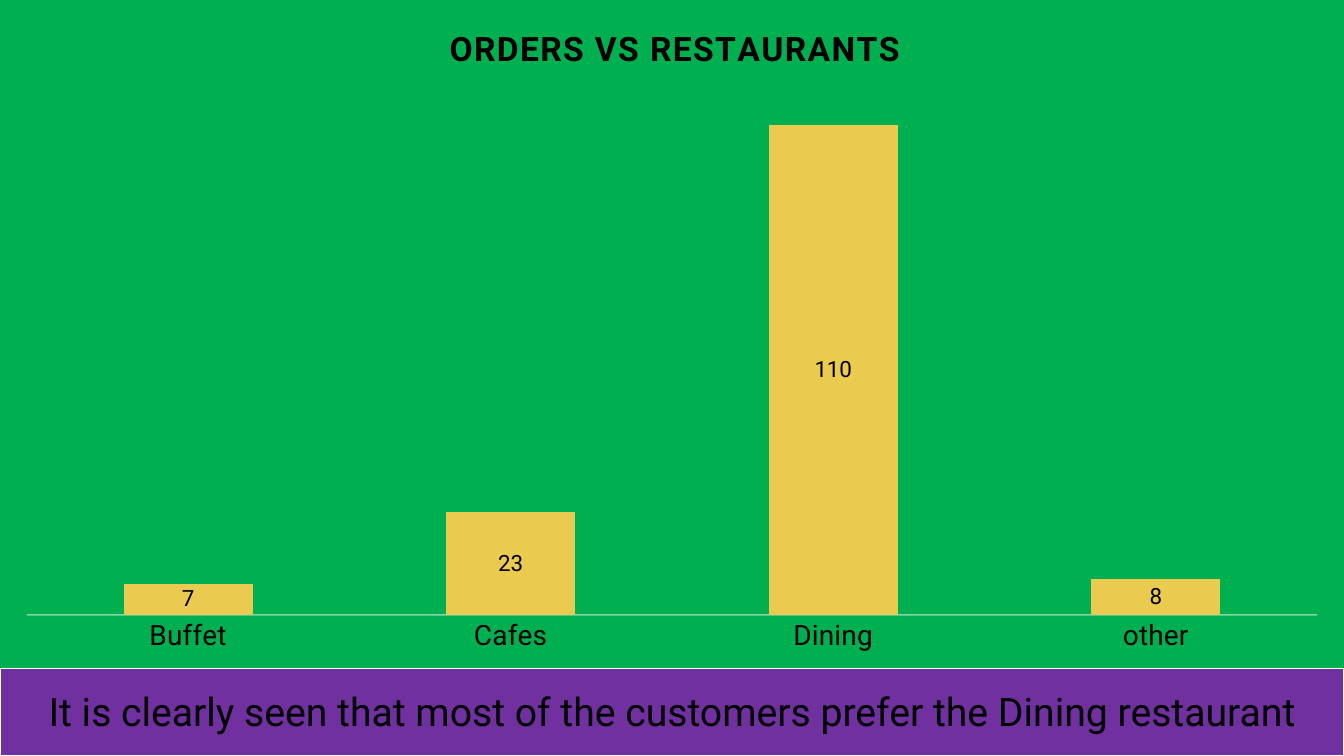
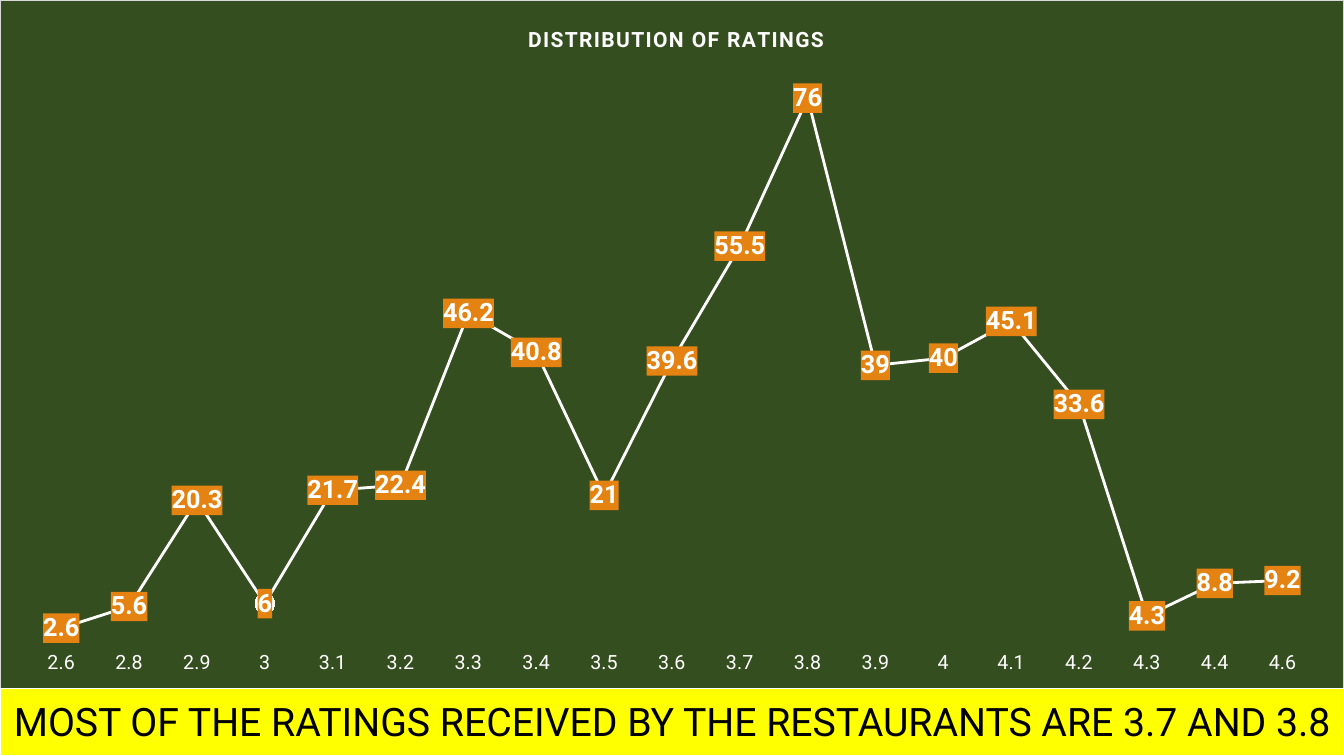
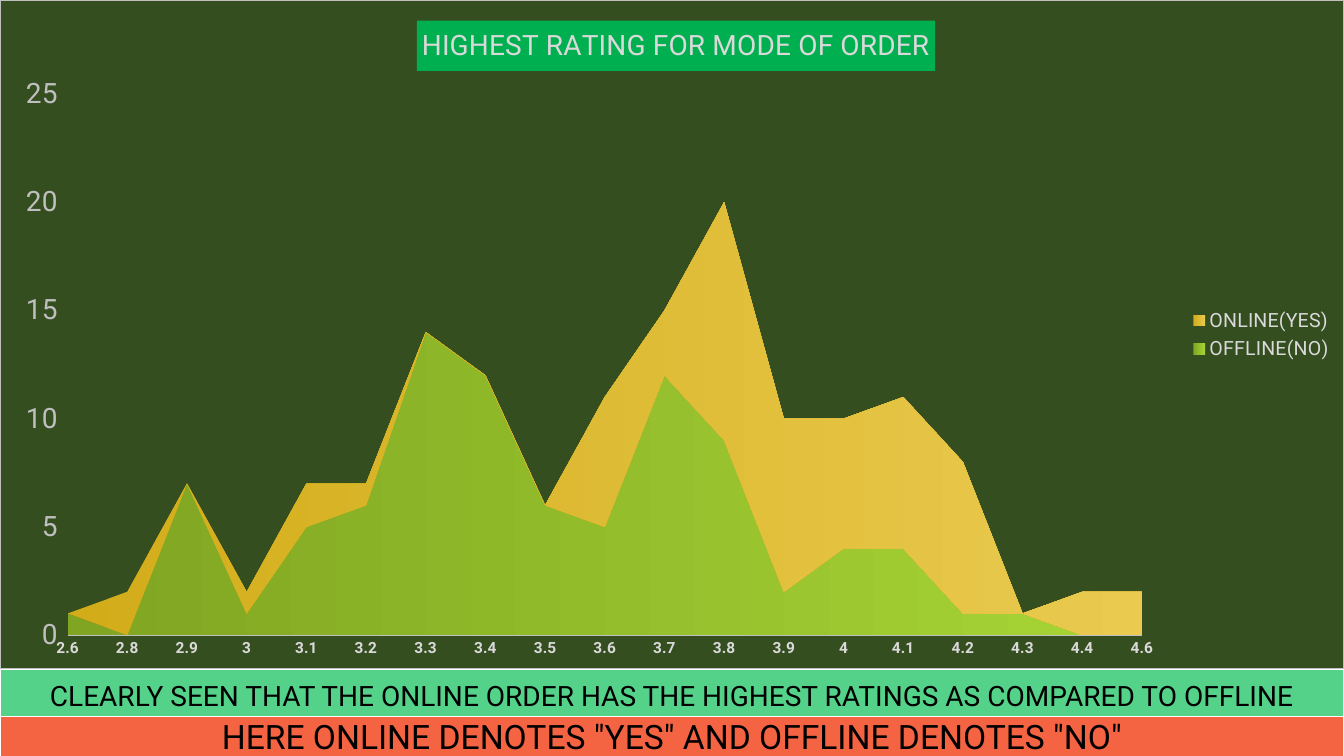
from dataclasses import dataclass

from lxml import etree
from pptx import Presentation
from pptx import util as u
from pptx.chart import data as chart_data
from pptx.dml import color
from pptx.enum import chart as charts, text
from pptx.oxml import ns, parse_xml


@dataclass(frozen=True)
class Theme:
    font: str = "Roboto"
    black: str = "000000"
    white: str = "FFFFFF"
    light: str = "D9D9D9"
    grey: str = "BFBFBF"
    axis: str = "F2F2F2"
    green: str = "00B050"
    forest: str = "354E20"
    gold: str = "EACA4F"
    dark_gold: str = "D2AC19"
    lime: str = "A7D535"
    dark_lime: str = "80A522"
    orange: str = "E48312"
    purple: str = "7030A0"
    yellow: str = "FFFF00"
    mint: str = "54D289"
    coral: str = "F46442"
    base: float = 10
    small: float = 11
    label: float = 14
    subtitle: float = 15
    value: float = 16
    strong: float = 18
    body: float = 20
    heading: float = 24
    banner: float = 28


THEME = Theme()
WIDTH, HEIGHT = 960, 540
RATINGS = ["2.6", "2.8", "2.9", "3", "3.1", "3.2", "3.3", "3.4", "3.5", "3.6",
           "3.7", "3.8", "3.9", "4", "4.1", "4.2", "4.3", "4.4", "4.6"]


def rgb(value):
    return color.RGBColor.from_string(value)


def set_font(font, size, fill, bold=False):
    font.name = THEME.font
    font.size = u.Pt(size)
    font.bold = bold
    font.color.rgb = rgb(fill)


def write_text(frame, content, *, size, fill, bold=False, spacing=0):
    """Write one centred paragraph; spacing is in points."""
    paragraph = frame.paragraphs[0]
    paragraph.alignment = text.PP_ALIGN.CENTER
    run = paragraph.add_run()
    run.text = content
    set_font(run.font, size, fill, bold)
    if spacing:
        run._r.get_or_add_rPr().set("spc", str(int(spacing * 100)))


# XML parts without a public method

def solid_fill(value):
    return f'<a:solidFill><a:srgbClr val="{value}"/></a:solidFill>'


def shape_properties(fill, border=None):
    line = solid_fill(border) if border else "<a:noFill/>"
    return parse_xml(f'<c:spPr {ns.nsdecls("c", "a")}>{solid_fill(fill)}'
                     f'<a:ln w="{u.Pt(0.75)}">{line}</a:ln></c:spPr>')


def find(chart, tag):
    return chart.element.find(".//" + ns.qn(tag))


def place(parent, index, x, y, w=None, h=None):
    """Give a chart part a fixed place, as fractions of the chart."""
    for old in parent.findall(ns.qn("c:layout")):
        parent.remove(old)
    settings = [("xMode", "edge"), ("yMode", "edge"), ("x", x), ("y", y)]
    if w is not None:
        settings = [("layoutTarget", "inner"), *settings, ("w", w), ("h", h)]
    layout = etree.Element(ns.qn("c:layout"))
    manual = etree.SubElement(layout, ns.qn("c:manualLayout"))
    for name, value in settings:
        etree.SubElement(manual, ns.qn(f"c:{name}")).set("val", str(value))
    parent.insert(index, layout)


def set_borders(cell):
    properties = cell._tc.get_or_add_tcPr()
    for index, side in enumerate("LRTB"):
        properties.insert(index, parse_xml(
            f'<a:ln{side} {ns.nsdecls("a")} w="{u.Pt(1)}">'
            f'{solid_fill(THEME.white)}</a:ln{side}>'))


# Elements

def add_band(slide, content, *, top, height, fill, size):
    table = slide.shapes.add_table(
        1, 1, 0, u.Pt(top), u.Pt(WIDTH), u.Pt(height)).table
    table.first_row = table.horz_banding = False
    cell = table.cell(0, 0)
    cell.fill.solid()
    cell.fill.fore_color.rgb = rgb(fill)
    cell.vertical_anchor = text.MSO_ANCHOR.MIDDLE
    cell.margin_left = cell.margin_right = cell.margin_top = u.Pt(1)
    cell.margin_bottom = 0
    set_borders(cell)
    write_text(cell.text_frame, content, size=size, fill=THEME.black)


def add_chart(slide, kind, categories, series, *, height, fill, plot, top_value,
              border=None):
    """Add a full-width chart with a fixed plot area and value scale."""
    source = chart_data.CategoryChartData()
    source.categories = categories
    for name, values in series:
        source.add_series(name, values)
    chart = slide.shapes.add_chart(
        kind, 0, 0, u.Pt(WIDTH), u.Pt(height), source).chart
    set_font(chart.font, THEME.base, THEME.white)
    chart.element.find(ns.qn("c:txPr")).addprevious(shape_properties(fill, border))
    chart.has_legend = False
    chart.plots[0].vary_by_categories = False
    place(find(chart, "c:plotArea"), 0, *plot)
    axis = chart.value_axis
    axis.has_major_gridlines = False
    axis.minimum_scale, axis.maximum_scale = 0, top_value
    return chart


def add_title(chart, content, *, x, y, box=None, **text_format):
    chart.has_title = True
    title = chart.chart_title
    write_text(title.text_frame, content, **text_format)
    if box:
        title.format.fill.solid()
        title.format.fill.fore_color.rgb = rgb(box)
    place(find(chart, "c:title"), 1, x, y)


def style_categories(chart, *, size, fill, bold=False, line=None, width=1):
    axis = chart.category_axis
    axis.has_major_gridlines = False
    axis.major_tick_mark = charts.XL_TICK_MARK.NONE
    set_font(axis.tick_labels.font, size, fill, bold)
    if line:
        axis.format.line.color.rgb = rgb(line)
        axis.format.line.width = u.Pt(width)
    else:
        axis.format.line.fill.background()


def add_labels(chart, *, size, fill, bold=False, box=None):
    labels = chart.plots[0].series[0].data_labels
    labels.show_value = True
    labels.position = charts.XL_LABEL_POSITION.CENTER
    set_font(labels.font, size, fill, bold)
    if box:
        text_properties = find(chart, "c:dLbls").find(ns.qn("c:txPr"))
        text_properties.addprevious(shape_properties(box))


def fill_gradient(fill, *stops):
    fill.gradient()
    fill.gradient_angle = 0
    for stop, value in zip(fill.gradient_stops, stops):
        stop.color.rgb = rgb(value)


# Slides

def add_orders(slide):
    chart = add_chart(
        slide, charts.XL_CHART_TYPE.COLUMN_STACKED,
        ["Buffet", "Cafes", "Dining", "other"], [("Series 1", [7, 23, 110, 8])],
        height=477.5, fill=THEME.green, plot=(0.02, 0.12, 0.96, 0.8), top_value=120)
    add_title(chart, "ORDERS VS RESTAURANTS", x=0.33, y=0.03,
              size=THEME.heading, fill=THEME.black, bold=True, spacing=1)
    chart.value_axis.visible = False
    style_categories(chart, size=THEME.body, fill=THEME.black, line=THEME.axis)
    axis_color = find(chart, "c:catAx").find(".//a:ln//a:srgbClr", ns._nsmap)
    etree.SubElement(axis_color, ns.qn("a:alpha")).set("val", "54000")
    plot = chart.plots[0]
    plot.gap_width, plot.overlap = 150, 100
    bars = plot.series[0].format.fill
    bars.solid()
    bars.fore_color.rgb = rgb(THEME.gold)
    add_labels(chart, size=THEME.value, fill=THEME.black)
    add_band(slide,
             "It is clearly seen that most of the customers prefer the Dining restaurant",
             top=477.5, height=62.5, fill=THEME.purple, size=THEME.banner)


def add_ratings(slide):
    values = [2.6, 5.6, 20.3, 6, 21.7, 22.4, 46.2, 40.8, 21, 39.6,
              55.5, 76, 39, 40, 45.1, 33.6, 4.3, 8.8, 9.2]
    chart = add_chart(
        slide, charts.XL_CHART_TYPE.LINE_MARKERS, RATINGS, [("Series 1", values)],
        height=492, fill=THEME.forest, border=THEME.light,
        plot=(0.02, 0.1, 0.96, 0.84), top_value=80)
    add_title(chart, "DISTRIBUTION OF RATINGS", x=0.39, y=0.03,
              size=THEME.subtitle, fill=THEME.white, bold=True, spacing=1)
    chart.value_axis.visible = False
    style_categories(chart, size=THEME.label, fill=THEME.white)
    series = chart.plots[0].series[0]
    series.smooth = False
    series.format.line.color.rgb = rgb(THEME.white)
    series.format.line.width = u.Pt(2)
    series.marker.style = charts.XL_MARKER_STYLE.CIRCLE
    series.marker.size = 14
    series.marker.format.fill.solid()
    series.marker.format.fill.fore_color.rgb = rgb(THEME.white)
    series.marker.format.line.fill.background()
    add_labels(chart, size=THEME.strong, fill=THEME.white, bold=True,
               box=THEME.orange)
    add_band(slide, "MOST OF THE RATINGS RECEIVED BY THE RESTAURANTS ARE 3.7 AND 3.8",
             top=492, height=48, fill=THEME.yellow, size=THEME.banner)


def add_order_modes(slide):
    offline = [1, None, 7, 1, 5, 6, 14, 12, 6, 5, 12, 9, 2, 4, 4, 1, 1, None, None]
    online = [None, 2, None, 1, 2, 1, None, None, None, 6,
              3, 11, 8, 6, 7, 7, None, 2, 2]
    chart = add_chart(
        slide, charts.XL_CHART_TYPE.AREA_STACKED, RATINGS,
        [("OFFLINE(NO)", offline), ("ONLINE(YES)", online)],
        height=478, fill=THEME.forest, border=THEME.grey,
        plot=(0.05, 0.14, 0.8, 0.81), top_value=25)
    add_title(chart, "HIGHEST RATING FOR MODE OF ORDER", x=0.31, y=0.03,
              box=THEME.green, size=THEME.body, fill=THEME.light)
    style_categories(chart, size=THEME.small, fill=THEME.light, bold=True,
                     line=THEME.grey, width=0.75)
    axis = chart.value_axis
    axis.major_unit = 5
    axis.major_tick_mark = charts.XL_TICK_MARK.OUTSIDE
    axis.format.line.fill.background()
    set_font(axis.tick_labels.font, THEME.body, THEME.grey)
    # Areas start on the value axis, and gaps count as zero
    find(chart, "c:crossBetween").set("val", "midCat")
    find(chart, "c:dispBlanksAs").set("val", "zero")
    stops = [(THEME.dark_lime, THEME.lime), (THEME.dark_gold, THEME.gold)]
    for series, pair in zip(chart.plots[0].series, stops):
        fill_gradient(series.format.fill, *pair)
        series.format.line.fill.background()
    chart.has_legend = True
    chart.legend.position = charts.XL_LEGEND_POSITION.RIGHT
    chart.legend.include_in_layout = False
    set_font(chart.legend.font, THEME.label, THEME.light)
    add_band(slide,
             "CLEARLY SEEN THAT THE ONLINE ORDER HAS THE HIGHEST RATINGS"
             " AS COMPARED TO OFFLINE",
             top=478, height=39, fill=THEME.mint, size=THEME.body)
    add_band(slide, 'HERE ONLINE DENOTES "YES" AND OFFLINE DENOTES "NO"',
             top=512, height=28, fill=THEME.coral, size=THEME.heading)


def main():
    presentation = Presentation()
    presentation.slide_width = u.Pt(WIDTH)
    presentation.slide_height = u.Pt(HEIGHT)
    for build in (add_orders, add_ratings, add_order_modes):
        build(presentation.slides.add_slide(presentation.slide_layouts[6]))
    presentation.save("out.pptx")


if __name__ == "__main__":
    main()
